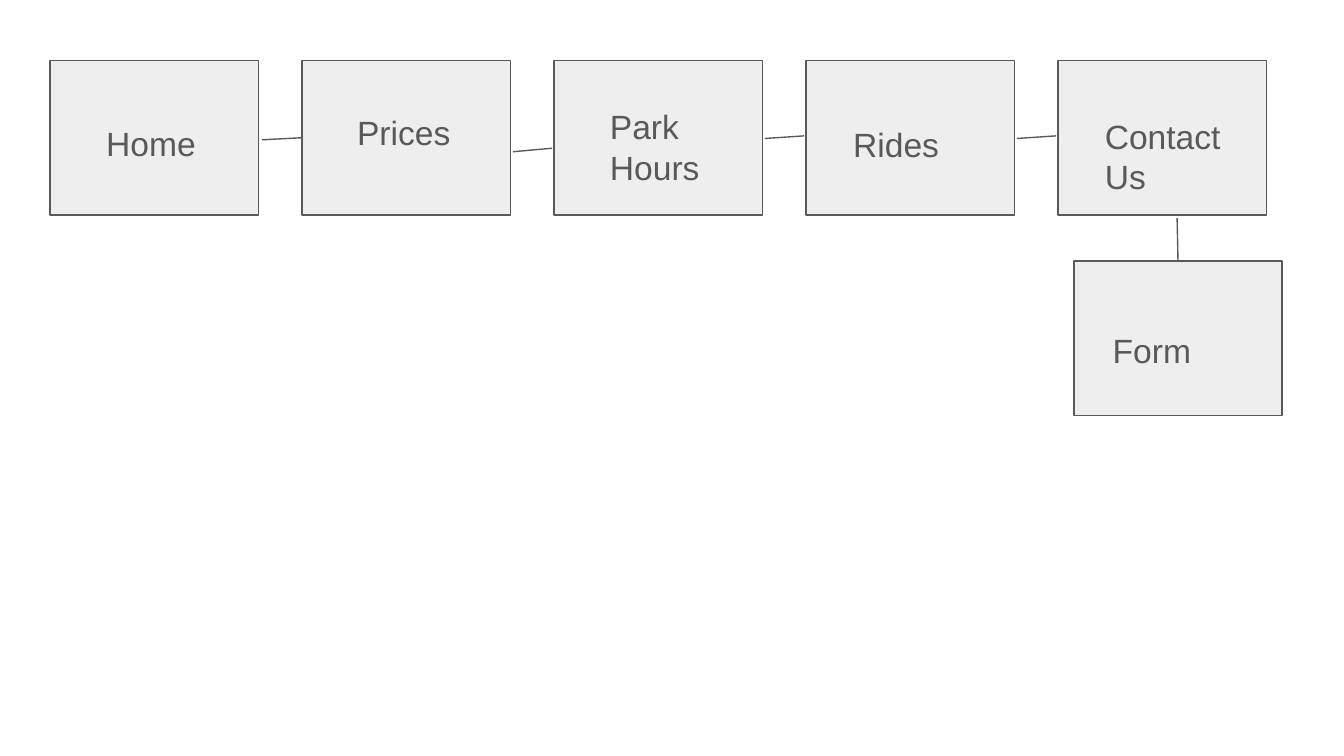
from pptx import Presentation
from pptx.dml.color import RGBColor
from pptx.enum.shapes import MSO_CONNECTOR as Line, MSO_SHAPE as Shape
from pptx.oxml.ns import qn
from pptx.util import Pt
from lxml.etree import SubElement as Sub

GRAY = RGBColor(0x59, 0x59, 0x59)
PALE = RGBColor(0xEE, 0xEE, 0xEE)
WIDE, HIGH, STEP = 111.6, 82.8, 135
PAGES = [
    ("Home", 23, 26, 66.2, 23),
    ("Prices", 22.4, 20.2, 66.2, 23),
    ("Park Hours", 22.9, 17.3, 76.3, 23),
    ("Rides", 18.2, 26.6, 76.3, 29.5),
    ("Contact Us", 18, 22.3, 84.2, 29.5),
]
FORM = ("Form", 13.7, 29.5, 71.3, 29.5)
LINKS = [(-21.4, 42.5, 0, 41.4), (-22, 48.9, -1, 47), (-22, 41.8, -1, 40.4), (-22, 41.8, -1, 40.4)]


def add_box(slide, left, top):
    """Draw one page box and return it."""
    box = slide.shapes.add_shape(Shape.RECTANGLE, Pt(left), Pt(top), Pt(WIDE), Pt(HIGH))
    box.shadow.inherit = False
    box.fill.solid()
    box.fill.fore_color.rgb = PALE
    box.line.color.rgb = GRAY
    box.line.width = Pt(0.75)
    return box


def add_text(slide, text, left, top, width, height, size=18, font="Arial", color=GRAY):
    """Write one wrapped label."""
    frame = slide.shapes.add_textbox(Pt(left), Pt(top), Pt(width), Pt(height)).text_frame
    frame.word_wrap = True
    frame.margin_left = frame.margin_right = Pt(7.2)
    frame.margin_top = frame.margin_bottom = Pt(7.2)
    run = frame.paragraphs[0].add_run()
    run.text = text
    run.font.size = Pt(size)
    run.font.name = font
    run.font.color.rgb = color


def add_link(slide, left, top, ends):
    """Draw a thin line between two points relative to a box and return it."""
    x1, y1, x2, y2 = ends
    link = slide.shapes.add_connector(
        Line.STRAIGHT, Pt(left + x1), Pt(top + y1), Pt(left + x2), Pt(top + y2))
    link.line.color.rgb = GRAY
    link.line.width = Pt(0.75)
    Sub(link._element.spPr, qn("a:effectLst"))
    return link


def add_label(slide, left, top, page):
    """Place a page label relative to its box."""
    text, dx, dy, width, height = page
    add_text(slide, text, left + dx, top + dy, width, height)


def add_row(slide, left, top):
    """Place the row of main pages with the links between them."""
    spots = [left + i * STEP for i in range(len(PAGES))]
    boxes = [add_box(slide, x, top) for x in spots]
    links = [add_link(slide, x, top, ends) for x, ends in zip(spots[1:], LINKS)]
    links[0].end_connect(boxes[1], 1)
    for x, page in zip(spots, PAGES):
        add_label(slide, x, top, page)


def add_form(slide, left, top):
    """Place the form page below the row, with its link up."""
    box = add_box(slide, left, top)
    link = add_link(slide, left, top, (55.3, -23, WIDE / 2, 0))
    link.end_connect(box, 0)
    add_label(slide, left, top, FORM)


def main():
    """Build and save the site map."""
    deck = Presentation()
    deck.slide_width, deck.slide_height = Pt(720), Pt(405)
    slide = deck.slides.add_slide(deck.slide_layouts[6])
    add_row(slide, 26.8, 32.4)
    add_form(slide, 575.3, 139.9)
    deck.save("out.pptx")


if __name__ == "__main__":
    main()
